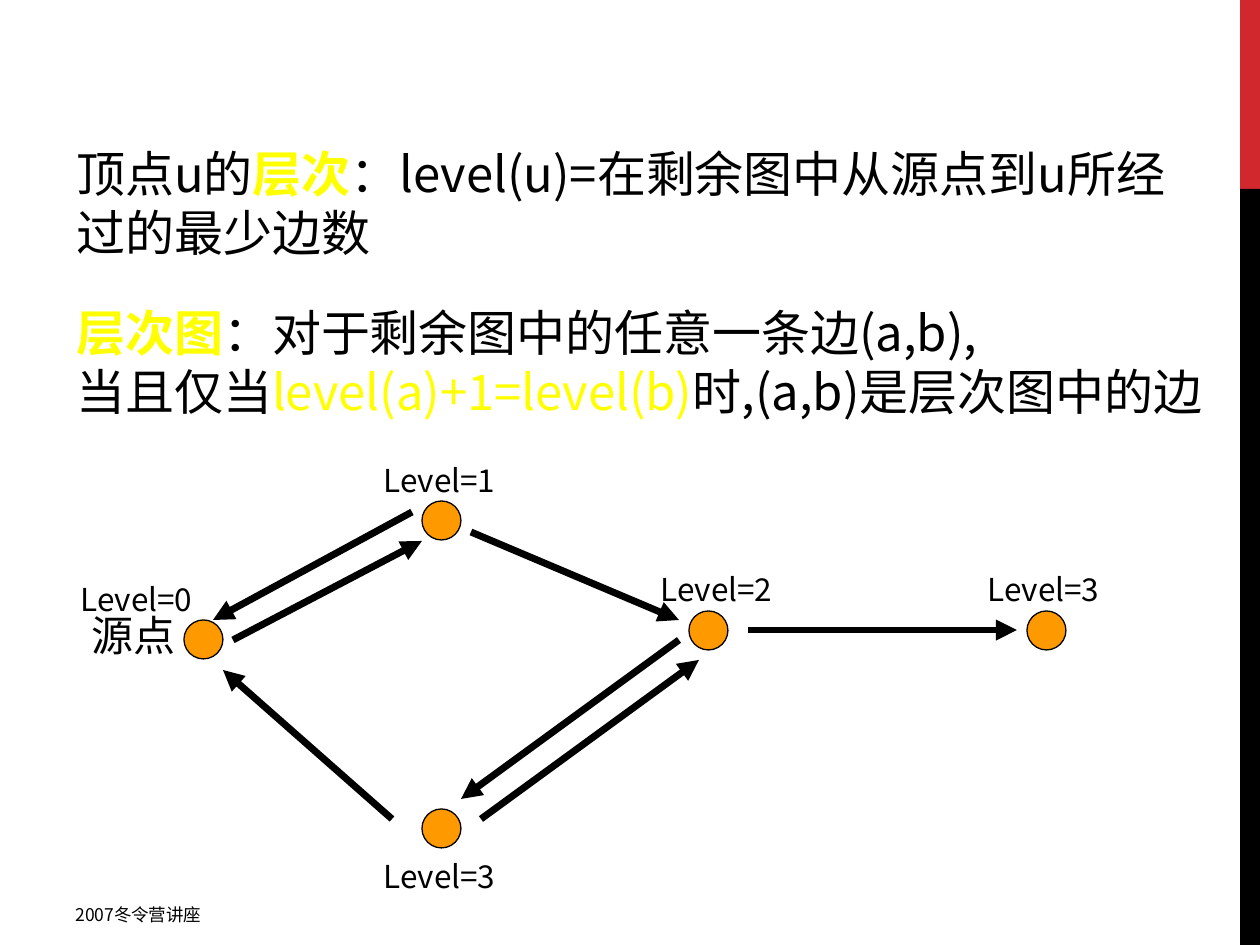
from lxml.etree import SubElement
from pptx import Presentation
from pptx.dml.color import RGBColor
from pptx.enum.shapes import MSO_CONNECTOR, MSO_SHAPE
from pptx.enum.text import PP_ALIGN
from pptx.oxml.ns import qn
from pptx.util import Pt

EMU_PER_PX = 914400 / 126
FONT = "Noto Sans CJK SC"
BLACK, YELLOW, ORANGE, RED = "000000", "FFFF00", "FF9900", "D1282E"


def px(length):
    return round(length * EMU_PER_PX)


def color(hex_string):
    return RGBColor.from_string(hex_string)


def add_span(para, text, size, fill=BLACK, bold=False):
    span = para.add_run()
    span.text = text
    span.font.size = Pt(size)
    span.font.name = FONT
    span.font.bold = bold
    span.font.color.rgb = color(fill)
    SubElement(span.font._element, qn("a:ea")).set("typeface", FONT)


def add_text(page, box, paragraphs, size, align=PP_ALIGN.LEFT, wrap=True):
    """Each paragraph is a list of (text, colour, bold) spans."""
    frame = page.shapes.add_textbox(*map(px, box)).text_frame
    frame.word_wrap = wrap
    frame.margin_top = px(9)
    for index, spans in enumerate(paragraphs):
        para = frame.add_paragraph() if index else frame.paragraphs[0]
        para.alignment = align
        para.line_spacing = Pt(size * 1.2)
        for text, fill, bold in spans:
            add_span(para, text, size, fill, bold)


def add_filled(page, kind, box, fill):
    shape = page.shapes.add_shape(kind, *map(px, box))
    shape.shadow.inherit = False
    shape.fill.solid()
    shape.fill.fore_color.rgb = color(fill)
    shape.line.fill.background()
    return shape


def add_arrow(page, start, end):
    arrow = page.shapes.add_connector(
        MSO_CONNECTOR.STRAIGHT, *map(px, (*start, *end)))
    arrow.line.color.rgb = color(BLACK)
    arrow.line.width = Pt(4)
    SubElement(arrow.line._get_or_add_ln(), qn("a:tailEnd")).set("type", "triangle")
    SubElement(arrow._element.spPr, qn("a:effectLst"))


def add_side_bar(page, box):
    left, top, width, height = box
    red_height = height // 5
    add_filled(page, MSO_SHAPE.RECTANGLE, (left, top, width, red_height), RED)
    add_filled(page, MSO_SHAPE.RECTANGLE,
               (left, top + red_height, width, height - red_height), BLACK)


def add_definitions(page, box):
    left, top, width, height = box
    # Level of a vertex
    add_text(page, (left, top, width - 16, 130), [[
        ("顶点u的", BLACK, False),
        ("层次", YELLOW, True),
        ("：level(u)=在剩余图中从源点到u所经过的最少边数", BLACK, False),
    ]], 28)
    # Level graph
    add_text(page, (left, top + 159, width, height - 159), [
        [("层次图", YELLOW, True),
         ("：对于剩余图中的任意一条边(a,b),", BLACK, False)],
        [("当且仅当", BLACK, False),
         ("level(a)+1=level(b)", YELLOW, False),
         ("时,(a,b)是层次图中的边", BLACK, False)],
    ], 28)


def add_level_graph(page, box):
    left, top = box[:2]

    def place(x, y):
        return left + x, top + y

    # Vertices: node corner, label corner, level
    vertices = [
        ((120, 168), (0, 119), 0),
        ((358, 49), (303, 0), 1),
        ((358, 357), (303, 396), 3),
        ((625, 159), (580, 109), 2),
        ((963, 159), (907, 109), 3),
    ]
    for node, label, level in vertices:
        circle = add_filled(page, MSO_SHAPE.FLOWCHART_CONNECTOR,
                            (*place(*node), 39, 39), ORANGE)
        circle.line.color.rgb = color(BLACK)
        circle.line.width = Pt(0.75)
        add_text(page, (*place(*label), 145, 50),
                 [[(f"Level={level}", BLACK, False)]], 18, PP_ALIGN.CENTER, False)

    # Source name
    add_text(page, (*place(0, 149), 139, 63),
             [[("源点", BLACK, False)]], 24, PP_ALIGN.CENTER)

    # Directed edges
    edges = [
        ((169, 188), (358, 89)),
        ((348, 60), (149, 168)),
        ((407, 80), (615, 168)),
        ((615, 188), (397, 347)),
        ((417, 367), (635, 208)),
        ((328, 367), (159, 218)),
        ((684, 178), (953, 178)),
    ]
    for start, end in edges:
        add_arrow(page, place(*start), place(*end))


def add_footer(page, box):
    add_text(page, box, [[("2007冬令营讲座", BLACK, False)]], 10)


def main():
    deck = Presentation()
    deck.slide_width, deck.slide_height = px(1260), px(945)
    page = deck.slides.add_slide(deck.slide_layouts[6])
    add_side_bar(page, (1240, 0, 20, 945))
    add_footer(page, (63, 895, 472, 39))
    add_definitions(page, (64, 135, 1166, 348))
    add_level_graph(page, (64, 452, 1052, 447))
    deck.save("out.pptx")


if __name__ == "__main__":
    main()
